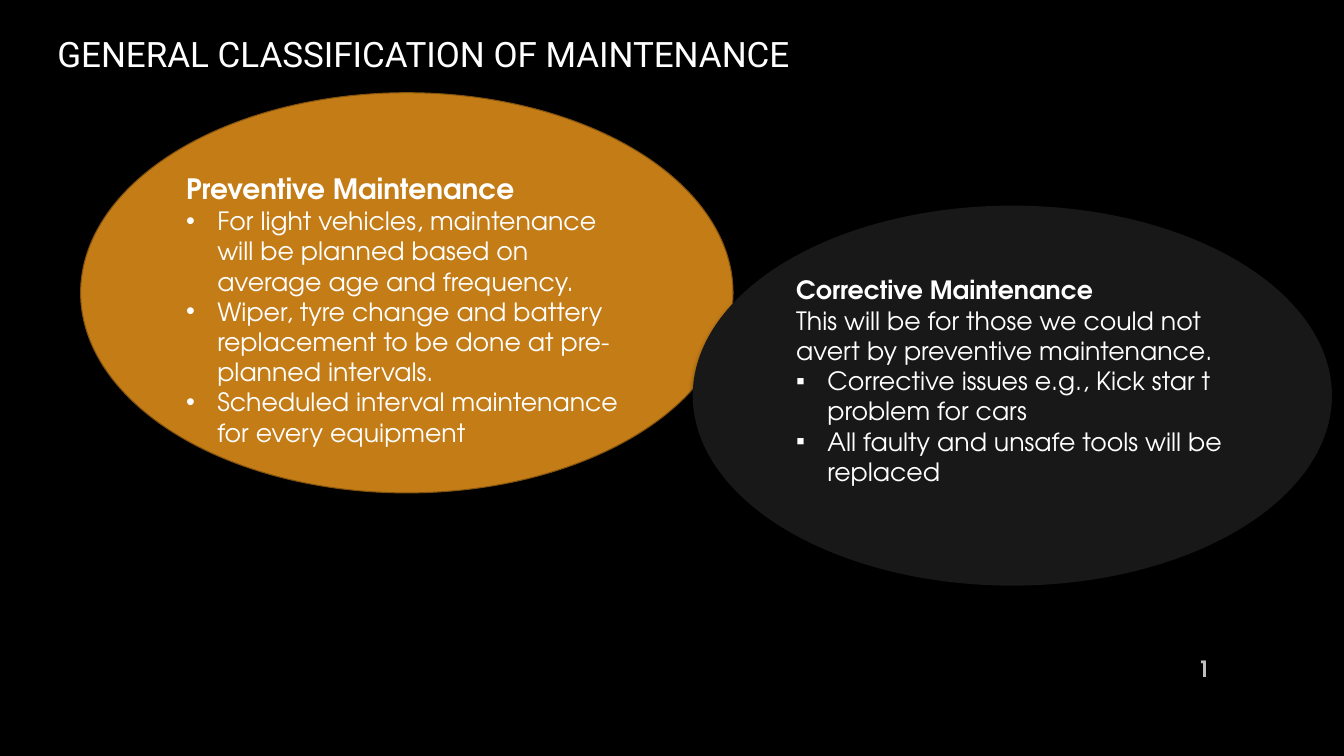
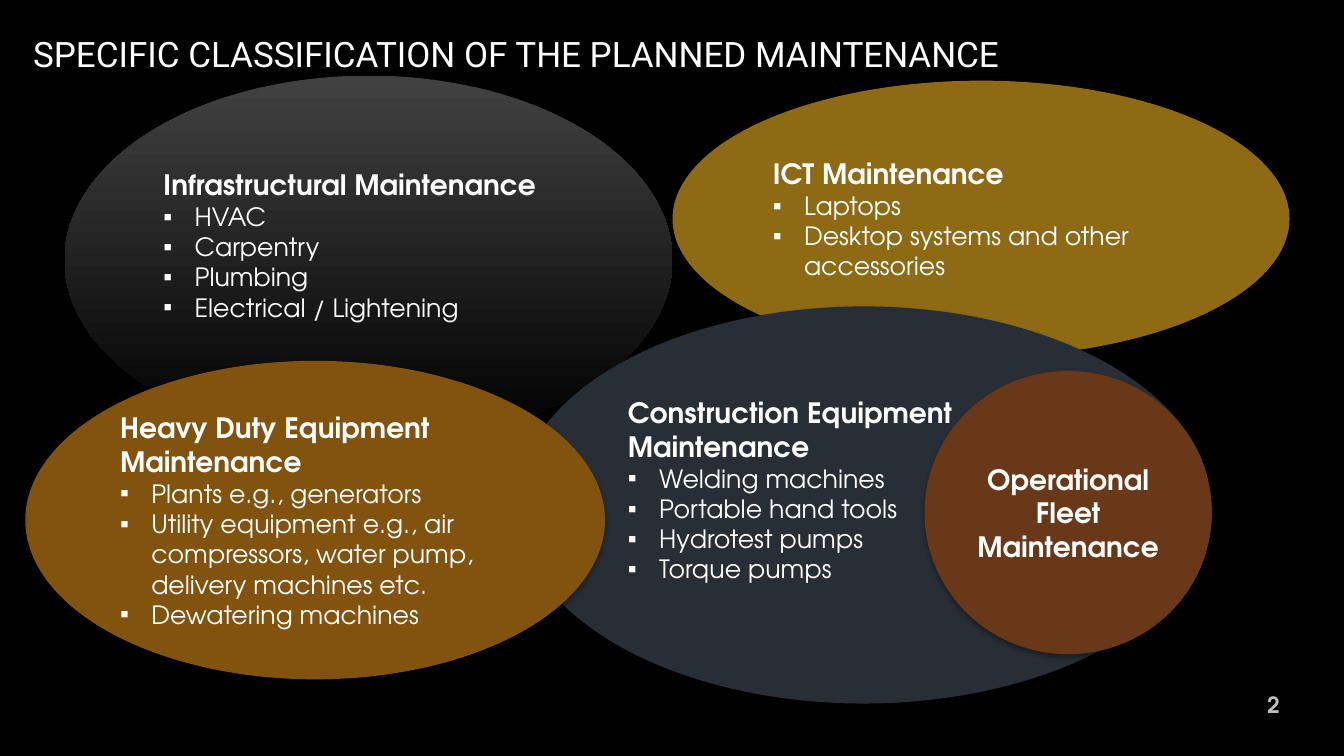
"""Build two slides that classify maintenance work in overlapping ellipses."""
from lxml.etree import SubElement
from pptx import Presentation
from pptx.dml.color import RGBColor
from pptx.enum.shapes import MSO_SHAPE
from pptx.enum.text import MSO_ANCHOR, PP_ALIGN
from pptx.oxml.ns import qn
from pptx.util import Inches, Pt

WIDTH, HEIGHT = 13.33, 7.5
COLORS = {
    "black": "000000", "white": "FFFFFF", "silver": "A6A6A6", "number": "BFBFBF",
    "orange": "C47C16", "brown": "82520F", "charcoal": "181818", "gold": "8E6A15",
    "grey": "414141", "slate": "282E35", "rust": "683819",
}
BODY_FONT, TITLE_FONT = "TeX Gyre Adventor", "Roboto"
HEADING = {"size": Pt(20), "name": BODY_FONT, "bold": True}
SMALL_HEADING = {**HEADING, "size": Pt(18)}
BODY = {"size": Pt(18), "name": BODY_FONT, "bold": False}
TITLE = {"size": Pt(25), "name": TITLE_FONT}
NUMBER = {"size": Pt(16), "name": BODY_FONT, "bold": True}
TITLE_FILL, TITLE_ANGLE = ("white", "silver"), 267
INSET, INDENT = 0.05, 0.31

# Boxes are left, top, width and height in percent of the slide.
SLIDES = [
    {
        "title": "GENERAL CLASSIFICATION OF MAINTENANCE", "title_left": 3.53,
        "number_box": (86.27, 85.73, 4.5, 5.33),
        "ellipses": [
            {"box": (6, 12.27, 48.54, 52.93), "fill": "orange", "line": "brown",
             "heading": "Preventive Maintenance", "bullet": "•", "pad_top": 0.33,
             "items": [
                 "For light vehicles, maintenance will be planned based on average age and frequency.",
                 "Wiper, tyre change and battery replacement to be done at pre-planned intervals.",
                 "Scheduled interval maintenance for every equipment"]},
            {"box": (51.54, 27.2, 47.56, 50.27), "fill": "charcoal",
             "heading": "Corrective Maintenance", "style": SMALL_HEADING, "pad_bottom": 0.3,
             "intro": "This will be for those we could not avert by preventive maintenance.",
             "items": ["Corrective issues e.g., Kick star t problem for cars",
                       "All faulty and unsafe tools will be replaced"]},
        ],
    },
    {
        "title": "SPECIFIC CLASSIFICATION OF THE PLANNED MAINTENANCE", "title_left": 1.73,
        "number_box": (91.45, 90, 4.5, 6.27),
        "ellipses": [
            {"box": (50.04, 10.67, 45.91, 36.53), "fill": "gold",
             "heading": "ICT Maintenance",
             "items": ["Laptops", "Desktop systems and other accessories"]},
            {"box": (4.8, 10, 45.24, 48.8), "fill": ("grey", "black"),
             "heading": "Infrastructural Maintenance", "pad_bottom": 0.3,
             "items": ["HVAC", "Carpentry", "Plumbing", "Electrical / Lightening"]},
            {"box": (38.41, 40.53, 51.69, 52.53), "fill": "slate",
             "heading": "Construction Equipment Maintenance", "pad_bottom": 0.3,
             "items": ["Welding machines", "Portable hand tools", "Hydrotest pumps",
                       "Torque pumps"]},
            {"box": (1.88, 47.73, 43.14, 42.13), "fill": "brown",
             "heading": "Heavy Duty Equipment Maintenance",
             "items": ["Plants e.g., generators",
                       "Utility equipment e.g., air compressors, water pump, delivery machines etc.",
                       "Dewatering machines"]},
            {"box": (68.79, 49.07, 21.38, 37.47), "fill": "rust",
             "heading": "Operational Fleet Maintenance", "align": PP_ALIGN.CENTER},
        ],
    },
]


def place(box):
    return [Inches(share / 100 * side) for share, side in zip(box, (WIDTH, HEIGHT) * 2)]


def rgb(name):
    return RGBColor.from_string(COLORS[name])


def paint(fill, color, angle=270):
    if isinstance(color, tuple):
        fill.gradient()
        fill.gradient_angle = angle
        for stop, name, position in zip(fill.gradient_stops, color, (0, 1)):
            stop.color.rgb = rgb(name)
            stop.position = position
    else:
        fill.solid()
        fill.fore_color.rgb = rgb(color)


def write(p, text, style, color="white", align=PP_ALIGN.LEFT):
    p.alignment = align
    r = p.add_run()
    r.text = text
    for key, value in style.items():
        setattr(r.font, key, value)
    paint(r.font.fill, color, TITLE_ANGLE)


def add_bullet(p, char):
    pPr = p._p.get_or_add_pPr()
    pPr.set("marL", str(Inches(INDENT)))
    pPr.set("indent", str(-Inches(INDENT)))
    SubElement(pPr, qn("a:buFont")).set("typeface", "Arial")
    SubElement(pPr, qn("a:buChar")).set("char", char)


def add_shadow(sp):
    sp.shadow.inherit = False
    effects = sp._element.spPr.find(qn("a:effectLst"))
    shadow = SubElement(effects, qn("a:outerShdw"), blurRad=str(Pt(3.5)),
                        dist=str(Pt(2.2)), dir="5400000", rotWithShape="0")
    color = SubElement(shadow, qn("a:srgbClr"), val=COLORS["black"])
    SubElement(color, qn("a:alpha"), val="32000")


def add_text(s, box, text, style, color, align=PP_ALIGN.LEFT):
    tf = s.shapes.add_textbox(*place(box)).text_frame
    tf.word_wrap = True
    tf.vertical_anchor = MSO_ANCHOR.MIDDLE
    write(tf.paragraphs[0], text, style, color, align)


def add_ellipse(s, part):
    sp = s.shapes.add_shape(MSO_SHAPE.OVAL, *place(part["box"]))
    paint(sp.fill, part["fill"])
    if "line" in part:
        paint(sp.line.fill, part["line"])
        sp.line.width = Pt(0.75)
    else:
        sp.line.fill.background()
    add_shadow(sp)
    tf = sp.text_frame
    tf.word_wrap = True
    tf.vertical_anchor = MSO_ANCHOR.MIDDLE
    tf.margin_top = Inches(INSET + part.get("pad_top", 0))
    tf.margin_bottom = Inches(INSET + part.get("pad_bottom", 0))
    write(tf.paragraphs[0], part["heading"], part.get("style", HEADING),
          align=part.get("align", PP_ALIGN.LEFT))
    if "intro" in part:
        write(tf.add_paragraph(), part["intro"], BODY)
    for item in part.get("items", []):
        p = tf.add_paragraph()
        write(p, item, BODY)
        add_bullet(p, part.get("bullet", "▪"))


def main():
    prs = Presentation()
    prs.slide_width, prs.slide_height = Inches(WIDTH), Inches(HEIGHT)
    paint(prs.slide_master.background.fill, "black")
    for number, page in enumerate(SLIDES, 1):
        s = prs.slides.add_slide(prs.slide_layouts[6])
        add_text(s, (page["title_left"], 4, 93.02, 6.13), page["title"], TITLE, TITLE_FILL)
        for part in page["ellipses"]:
            add_ellipse(s, part)
        add_text(s, page["number_box"], str(number), NUMBER, "number", PP_ALIGN.RIGHT)
    prs.save("out.pptx")


if __name__ == "__main__":
    main()
